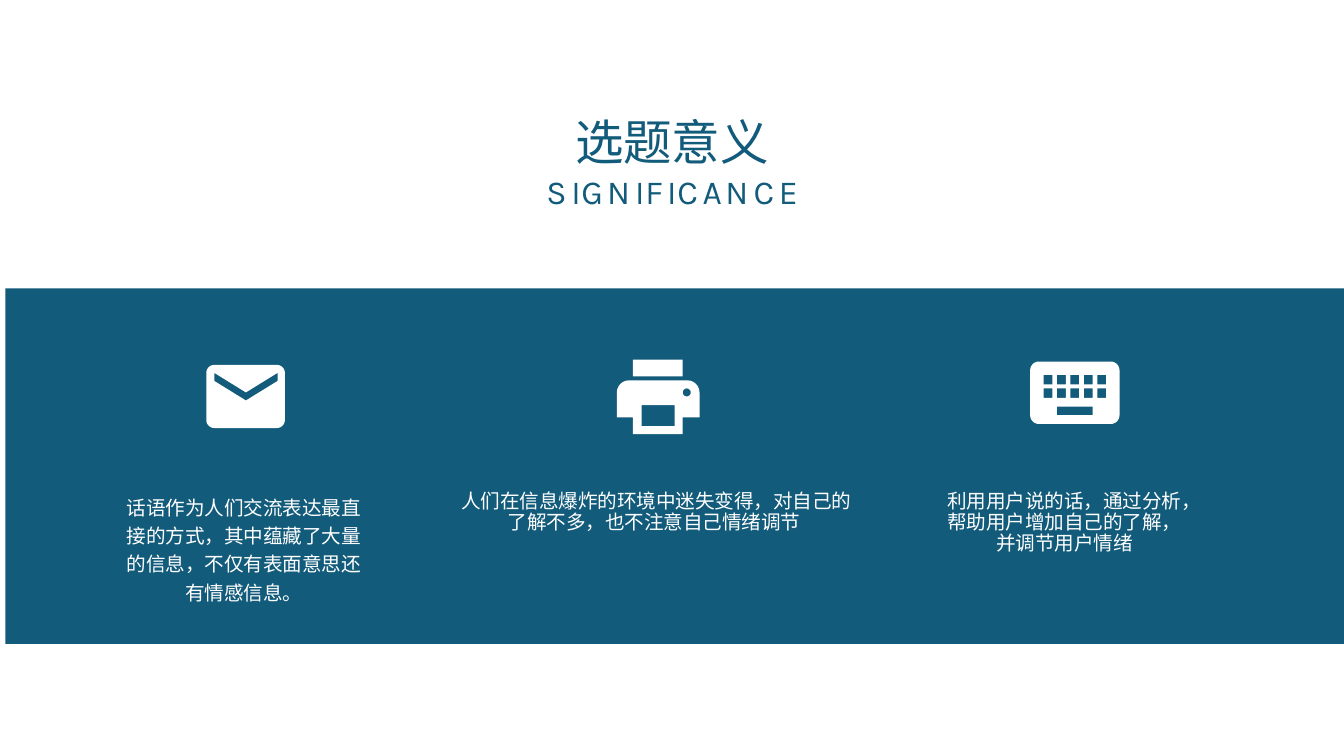
from dataclasses import dataclass
from math import cos, radians, sin

from lxml.etree import SubElement
from pptx import Presentation
from pptx.dml.color import RGBColor
from pptx.enum.shapes import MSO_SHAPE as ShapeKind
from pptx.enum.text import MSO_ANCHOR as Anchor, PP_ALIGN as Align
from pptx.oxml.ns import qn
from pptx.util import Inches, Pt

Point = tuple[float, float]
Contour = list[Point]


@dataclass(frozen=True)
class Theme:
    teal: RGBColor = RGBColor(0x12, 0x5B, 0x7B)
    white: RGBColor = RGBColor(0xFF, 0xFF, 0xFF)
    title_font: str = "Noto Sans CJK SC"
    subtitle_font: str = "Karla"
    body_font: str = "Noto Sans CJK TC"
    title_size: float = 52
    subtitle_size: float = 36
    body_size: float = 21


@dataclass(frozen=True)
class Reason:
    text: str
    width: float
    margin_left: float = 0
    margin_right: float = 0
    space_before: float = 0
    line_spacing: float | None = None


THEME = Theme()
NO_TABLE_STYLE = "{2D5ABB26-0587-4C30-8999-92F81FD0307C}"
LETTER_SPACING = {"S": 5, "I": 0.7, "G": 4.3, "N": 5.5, "F": 4.7, "C": 4.9, "A": 3.9, "E": 0.9}
REASONS = [
    Reason("话语作为人们交流表达最直接的方式，其中蕴藏了大量的信息，不仅有表面意思还有情感信息。",
           4.81, margin_right=1.3, space_before=1.6),
    Reason(" 人们在信息爆炸的环境中迷失变得，对自己的了解不多，也不注意自己情绪调节",
           6.1, line_spacing=22.7),
    Reason("利用用户说的话，通过分析，帮助用户增加自己的了解，并调节用户情绪",
           4.82, margin_left=1.3, line_spacing=22.7),
]


def add_run(paragraph, text: str, font: str, size: float, color: RGBColor, spacing: float = 0) -> None:
    run = paragraph.add_run()
    run.text = text
    run.font.name = font
    run.font.size = Pt(size)
    run.font.color.rgb = color
    properties = run.font._element
    SubElement(properties, qn("a:ea")).set("typeface", font)
    if spacing:
        properties.set("spc", str(round(spacing * 100)))


def paint(shape, color: RGBColor) -> None:
    shape.shadow.inherit = False
    shape.fill.solid()
    shape.fill.fore_color.rgb = color
    shape.line.fill.background()


def arc(center: Point, radius: float, start: int, sweep: int = 90) -> Contour:
    return [(center[0] + radius * cos(radians(angle)), center[1] + radius * sin(radians(angle)))
            for angle in range(start, start + sweep + 1, 15)]


def box(left: float, top: float, width: float, height: float) -> Contour:
    right, bottom = left + width, top + height
    return [(left, top), (right, top), (right, bottom), (left, bottom)]


def rounded_box(left: float, top: float, width: float, height: float, radius: float) -> Contour:
    inner = box(left + radius, top + radius, width - 2 * radius, height - 2 * radius)
    return [point for center, start in zip(inner, (180, 270, 0, 90)) for point in arc(center, radius, start)]


def add_icon(slide, contours: list[Contour]) -> None:
    scaled = [[(Inches(x), Inches(y)) for x, y in contour] for contour in contours]
    builder = slide.shapes.build_freeform(*scaled[0][0], scale=1.0)
    for index, contour in enumerate(scaled):
        if index:
            builder.move_to(*contour[0])
        builder.add_line_segments(contour[1:], close=True)
    paint(builder.convert_to_shape(), THEME.white)


def envelope() -> list[Contour]:
    flap = [(3.19, 5.55), (3.66, 5.84), (4.13, 5.55), (4.13, 5.67), (3.66, 5.96), (3.19, 5.67)]
    return [rounded_box(3.07, 5.43, 1.17, 0.94, 0.12), flap]


def printer() -> list[Contour]:
    shoulders = arc((9.36, 5.84), 0.18, 180) + arc((10.23, 5.84), 0.18, 270)
    base = [(10.41, 6.21), (10.16, 6.21), (10.16, 6.46), (9.42, 6.46), (9.42, 6.21), (9.18, 6.21)]
    paper = box(9.55, 6.03, 0.49, 0.31)
    lamp = arc((10.22, 5.84), 0.06, 0, 345)
    return [shoulders + base, paper, lamp, box(9.42, 5.35, 0.74, 0.25)]


def keyboard() -> list[Contour]:
    keys = [box(15.53 + 0.2 * column, 5.58 + 0.2 * row, 0.13, 0.14)
            for row in range(2) for column in range(5)]
    return [rounded_box(15.33, 5.38, 1.33, 0.93, 0.13), *keys, box(15.73, 6.05, 0.53, 0.13)]


def add_title(slide) -> None:
    frame = slide.shapes.add_textbox(Inches(1.11), Inches(0.57), Inches(17.78), Inches(2.78)).text_frame
    frame.word_wrap = True
    frame.vertical_anchor = Anchor.TOP
    frame.margin_left = frame.margin_right = frame.margin_bottom = 0
    frame.margin_top = Inches(1.1)
    paragraph = frame.paragraphs[0]
    paragraph.alignment = Align.CENTER
    paragraph.space_before = Pt(4)
    add_run(paragraph, "选题意义", THEME.title_font, THEME.title_size, THEME.teal)
    paragraph.add_line_break()
    for letter in "SIGNIFICANCE":
        add_run(paragraph, letter, THEME.subtitle_font, THEME.subtitle_size, THEME.teal, LETTER_SPACING[letter])


def add_band(slide) -> None:
    band = slide.shapes.add_shape(ShapeKind.RECTANGLE, Inches(0.08), Inches(4.29), Inches(20), Inches(5.29))
    paint(band, THEME.teal)


def add_reasons(slide, reasons: list[Reason]) -> None:
    heights = (1.75, 0.37)
    width = sum(reason.width for reason in reasons)
    graphic = slide.shapes.add_table(len(heights), len(reasons), Inches(1.87), Inches(7.33),
                                     Inches(width), Inches(sum(heights)))
    table = graphic.table
    table.first_row = table.horz_banding = False
    next(graphic._element.iter(qn("a:tableStyleId"))).text = NO_TABLE_STYLE
    for row, height in zip(table.rows, heights):
        row.height = Inches(height)
    for cell in table.iter_cells():
        cell.fill.solid()
        cell.fill.fore_color.rgb = THEME.teal
        cell.margin_left = cell.margin_top = cell.margin_right = cell.margin_bottom = 0
    for index, reason in enumerate(reasons):
        table.columns[index].width = Inches(reason.width)
        cell = table.cell(0, index)
        cell.margin_left = Inches(reason.margin_left)
        cell.margin_right = Inches(reason.margin_right)
        paragraph = cell.text_frame.paragraphs[0]
        paragraph.alignment = Align.CENTER
        paragraph.space_before = Pt(reason.space_before)
        if reason.line_spacing:
            paragraph.line_spacing = Pt(reason.line_spacing)
        add_run(paragraph, reason.text, THEME.body_font, THEME.body_size, THEME.white, -0.1)


def main() -> None:
    presentation = Presentation()
    presentation.slide_width = Inches(20)
    presentation.slide_height = Inches(11.25)
    slide = presentation.slides.add_slide(presentation.slide_layouts[6])
    add_title(slide)
    add_band(slide)
    add_reasons(slide, REASONS)
    for contours in (envelope(), printer(), keyboard()):
        add_icon(slide, contours)
    presentation.save("out.pptx")


if __name__ == "__main__":
    main()
